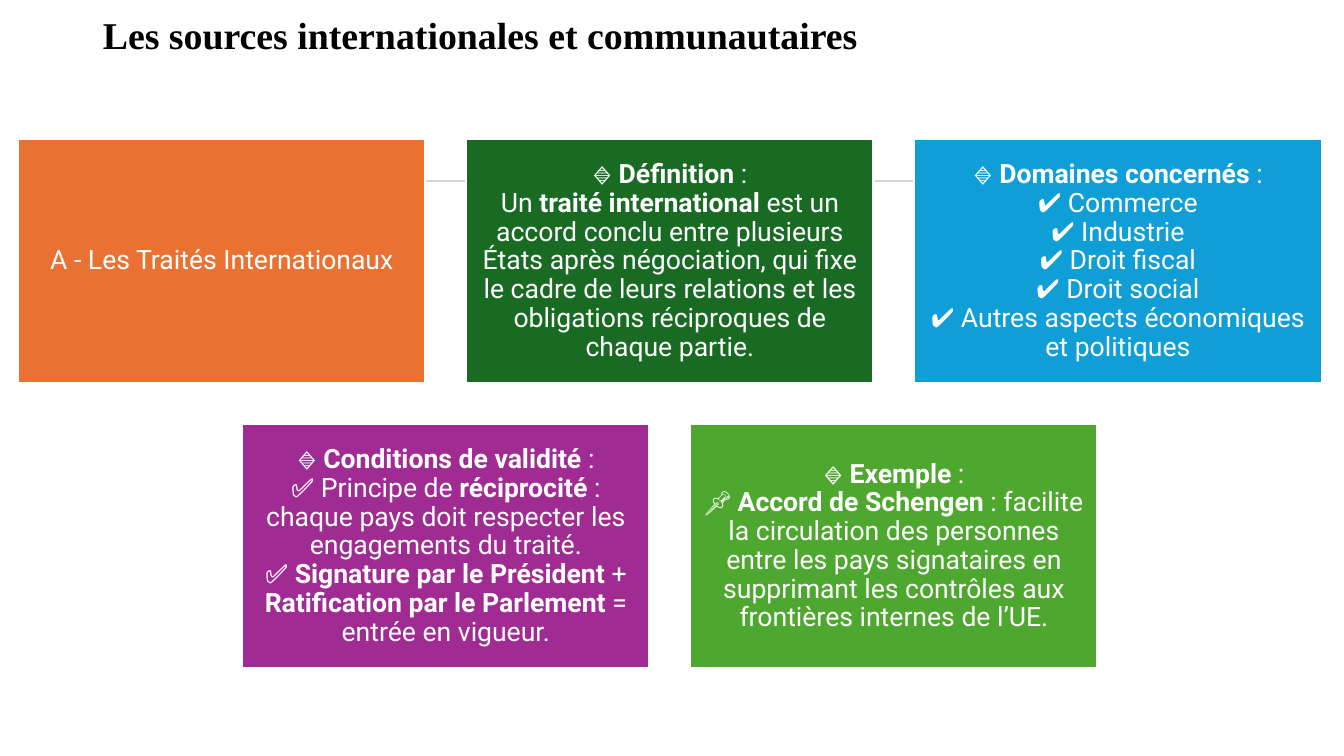
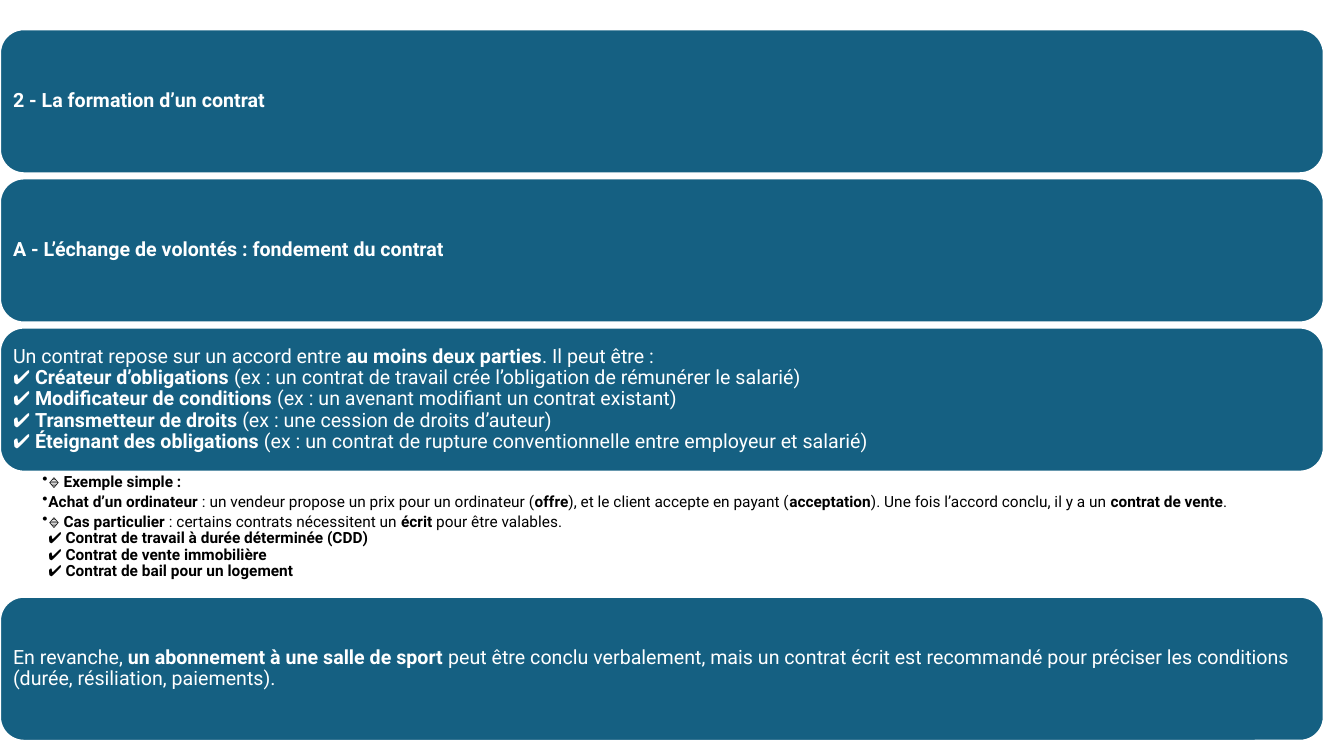
from copy import deepcopy

from lxml import etree
from pptx import Presentation
from pptx.dml.color import RGBColor
from pptx.enum import shapes, text
from pptx.oxml.ns import qn
from pptx.util import Inches, Pt

WHITE = RGBColor(0xFF, 0xFF, 0xFF)
BLACK = RGBColor(0x00, 0x00, 0x00)
GREY = RGBColor(0xD5, 0xD5, 0xD5)
ORANGE = RGBColor(0xE9, 0x71, 0x32)
DARK_GREEN = RGBColor(0x19, 0x6B, 0x24)
BLUE = RGBColor(0x0F, 0x9E, 0xD5)
PURPLE = RGBColor(0xA0, 0x2B, 0x93)
GREEN = RGBColor(0x4E, 0xA7, 0x2E)
TEAL = RGBColor(0x15, 0x60, 0x82)

BODY_FONT, TITLE_FONT = "Roboto", "Times New Roman"
LINE_SPACING = 0.9

# Text between ** marks is bold; a newline is a line break in the paragraph.
TITLE = "**Les sources internationales et communautaires**"
TREATY_ROWS = [
    [
        (ORANGE, "A - Les Traités Internationaux"),
        (DARK_GREEN, "🔹 **Définition** :\n"
         "Un **traité international** est un accord conclu entre plusieurs États "
         "après négociation, qui fixe le cadre de leurs relations et les "
         "obligations réciproques de chaque partie."),
        (BLUE, "🔹 **Domaines concernés** :\n✔ Commerce\n✔ Industrie\n"
         "✔ Droit fiscal\n✔ Droit social\n"
         "✔ Autres aspects économiques et politiques"),
    ],
    [
        (PURPLE, "🔹 **Conditions de validité** :\n"
         "✅ Principe de **réciprocité** : chaque pays doit respecter les "
         "engagements du traité.\n"
         "✅ **Signature par le Président** + **Ratification par le Parlement** "
         "= entrée en vigueur."),
        (GREEN, "🔹 **Exemple** :\n"
         "📌 **Accord de Schengen** : facilite la circulation des personnes entre "
         "les pays signataires en supprimant les contrôles aux frontières "
         "internes de l’UE."),
    ],
]

# A string is a band; a list is a block of bullets.
CONTRACT_STACK = [
    "**2 - La formation d’un contrat**",
    "**A - L’échange de volontés : fondement du contrat**",
    "Un contrat repose sur un accord entre **au moins deux parties**. "
    "Il peut être :\n"
    "✔ **Créateur d’obligations** (ex : un contrat de travail crée l’obligation "
    "de rémunérer le salarié)\n"
    "✔ **Modificateur de conditions** (ex : un avenant modifiant un contrat "
    "existant)\n"
    "✔ **Transmetteur de droits** (ex : une cession de droits d’auteur)\n"
    "✔ **Éteignant des obligations** (ex : un contrat de rupture "
    "conventionnelle entre employeur et salarié)",
    [
        "🔹 **Exemple simple :**",
        "**Achat d’un ordinateur** : un vendeur propose un prix pour un "
        "ordinateur (**offre**), et le client accepte en payant "
        "(**acceptation**). Une fois l’accord conclu, il y a un "
        "**contrat de vente**.",
        "🔹 **Cas particulier** : certains contrats nécessitent un **écrit** "
        "pour être valables.\n"
        "✔ **Contrat de travail à durée déterminée (CDD)**\n"
        "✔ **Contrat de vente immobilière**\n"
        "✔ **Contrat de bail pour un logement**",
    ],
    "En revanche, **un abonnement à une salle de sport** peut être conclu "
    "verbalement, mais un contrat écrit est recommandé pour préciser les "
    "conditions (durée, résiliation, paiements).",
]


def write(para, marked, size, color, name=BODY_FONT):
    """Fill a paragraph from marked text, giving each break its run's format."""
    para.line_spacing = LINE_SPACING
    span = None
    for line in marked.split("\n"):
        if span is not None:
            para.add_line_break()
            para._p[-1].insert(0, deepcopy(span._r.rPr))
        for number, piece in enumerate(line.split("**")):
            if not piece:
                continue
            span = para.add_run()
            span.text = piece
            look = {"size": Pt(size), "name": name, "bold": number % 2 == 1}
            for key, value in look.items():
                setattr(span.font, key, value)
            span.font.color.rgb = color


def set_frame(frame, insets, anchor):
    left, top, right, bottom = map(Inches, insets)
    look = {"margin_left": left, "margin_top": top, "margin_right": right,
            "margin_bottom": bottom, "word_wrap": True,
            "auto_size": text.MSO_AUTO_SIZE.NONE, "vertical_anchor": anchor}
    for key, value in look.items():
        setattr(frame, key, value)


def add_card(page, kind, place, fill, marked, size, inset, align):
    card = page.shapes.add_shape(kind, *map(Inches, place))
    card.shadow.inherit = False
    card.fill.solid()
    card.fill.fore_color.rgb = fill
    card.line.color.rgb = WHITE
    card.line.width = Pt(1.5)
    set_frame(card.text_frame, [inset] * 4, text.MSO_ANCHOR.MIDDLE)
    para = card.text_frame.paragraphs[0]
    para.alignment = align
    write(para, marked, size, WHITE)


def add_bullets(page, place, items):
    box = page.shapes.add_textbox(*map(Inches, place))
    set_frame(box.text_frame, (0.42, 0.02, 0.11, 0.02), text.MSO_ANCHOR.TOP)
    for number, item in enumerate(items):
        frame = box.text_frame
        para = frame.add_paragraph() if number else frame.paragraphs[0]
        props = para._p.get_or_add_pPr()
        props.set("marL", str(Inches(0.06)))
        props.set("indent", str(-Inches(0.06)))
        etree.SubElement(props, qn("a:buChar"), char="•")
        para.space_after = Pt(2.4)
        write(para, item, 11, BLACK)


def build_treaties(deck):
    page = deck.slides.add_slide(deck.slide_layouts[5])
    title = page.shapes.title
    title.left, title.top, title.width, title.height = map(
        Inches, (0.92, 0.12, 11.49, 0.5))
    set_frame(title.text_frame, (0.1, 0.05, 0.1, 0.05), text.MSO_ANCHOR.TOP)
    para = title.text_frame.paragraphs[0]
    para.alignment = text.PP_ALIGN.LEFT
    write(para, TITLE, 27, BLACK, TITLE_FONT)

    rule = page.shapes.add_connector(
        shapes.MSO_CONNECTOR.STRAIGHT, *map(Inches, (0.95, 1.8, 12.38, 1.8)))
    rule.line.color.rgb = GREY
    rule.line.width = Pt(1.5)
    etree.SubElement(rule._element.spPr, qn("a:effectLst"))

    left, top, width = 0.18, 1.38, 4.04
    height, gap = 0.6 * width, 0.1 * width
    columns = len(TREATY_ROWS[0])
    for row, cards in enumerate(TREATY_ROWS):
        shift = (columns - len(cards)) / 2
        for column, (fill, marked) in enumerate(cards):
            place = (left + (column + shift) * (width + gap),
                     top + row * (height + gap), width, height)
            add_card(page, shapes.MSO_SHAPE.RECTANGLE, place, fill, marked,
                     19, 0.08, text.PP_ALIGN.CENTER)


def build_contract(deck):
    page = deck.slides.add_slide(deck.slide_layouts[6])
    width, band_height, list_height, gap = 13.13, 1.43, 1.24, 0.05
    top = 0.29
    for part in CONTRACT_STACK:
        if isinstance(part, list):
            top -= gap
            add_bullets(page, (0, top, width, list_height), part)
            top += list_height
        else:
            add_card(page, shapes.MSO_SHAPE.ROUNDED_RECTANGLE,
                     (0, top, width, band_height), TEAL, part, 14, 0.06,
                     text.PP_ALIGN.LEFT)
            top += band_height + gap


def main():
    deck = Presentation()
    deck.slide_width, deck.slide_height = Inches(13.33), Inches(7.5)
    build_treaties(deck)
    build_contract(deck)
    deck.save("out.pptx")


if __name__ == "__main__":
    main()
